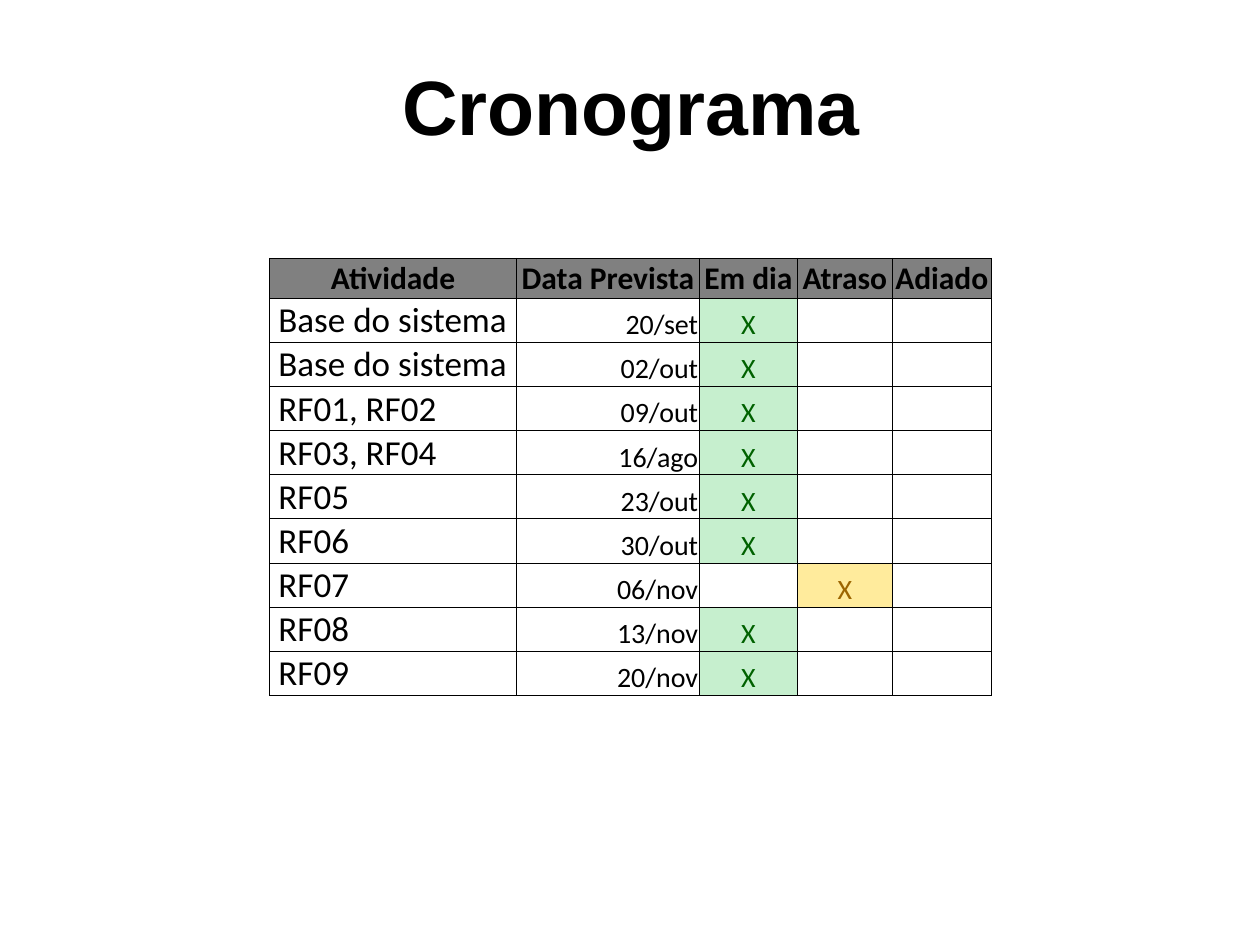
import pptx
import pptx.util
import pptx.dml.color
import pptx.enum.text
import pptx.oxml
import pptx.oxml.ns
from pptx.util import Inches, Pt
from pptx.dml.color import RGBColor
from pptx.enum.text import PP_ALIGN, MSO_ANCHOR

# Content: activity, planned date, status column that gets the mark
TITLE = "Cronograma"
HEADERS = ["Atividade", "Data Prevista", "Em dia", "Atraso", "Adiado"]
ACTIVITIES = [
    ("Base do sistema", "20/set", "Em dia"),
    ("Base do sistema", "02/out", "Em dia"),
    ("RF01, RF02", "09/out", "Em dia"),
    ("RF03, RF04", "16/ago", "Em dia"),
    ("RF05", "23/out", "Em dia"),
    ("RF06", "30/out", "Em dia"),
    ("RF07", "06/nov", "Atraso"),
    ("RF08", "13/nov", "Em dia"),
    ("RF09", "20/nov", "Em dia"),
]
COL_WIDTHS = [1.96, 1.45, 0.78, 0.75, 0.79]
HEADER_H, ROW_H = 0.31, 0.35

BLACK = RGBColor(0x00, 0x00, 0x00)
GRAY = RGBColor(0x80, 0x80, 0x80)
# Status: (text colour, fill colour)
STATUS_COLORS = {
    "Em dia": (RGBColor(0x00, 0x61, 0x00), RGBColor(0xC6, 0xEF, 0xCE)),
    "Atraso": (RGBColor(0x9C, 0x65, 0x00), RGBColor(0xFF, 0xEB, 0x9C)),
}


def add_run(p, text, font, size, color, bold=False):
    r = p.add_run()
    r.text = text
    r.font.name, r.font.size, r.font.bold = font, Pt(size), bold
    r.font.color.rgb = color


def prepare_cell(cell):
    """Thin margins, no fill and a black hairline on every side."""
    cell.margin_left = cell.margin_right = cell.margin_top = Inches(0.01)
    cell.margin_bottom = 0
    tcPr = cell._tc.get_or_add_tcPr()
    for side in ("lnL", "lnR", "lnT", "lnB"):
        tcPr.append(pptx.oxml.parse_xml(
            f'<a:{side} {pptx.oxml.ns.nsdecls("a")} w="{Pt(0.5)}"><a:solidFill>'
            f'<a:srgbClr val="{BLACK}"/></a:solidFill></a:{side}>'))
    cell.fill.background()


def write_cell(cell, text, size, align, anchor, color=BLACK, fill=None, bold=False):
    cell.vertical_anchor = anchor
    p = cell.text_frame.paragraphs[0]
    p.alignment = align
    add_run(p, text, "Calibri", size, color, bold)
    if fill is not None:
        cell.fill.solid()
        cell.fill.fore_color.rgb = fill


prs = pptx.Presentation()
prs.slide_width, prs.slide_height = Inches(10), Inches(7.5)
s = prs.slides.add_slide(prs.slide_layouts[5])

# Title
sp = s.shapes.title
sp.left, sp.top, sp.width, sp.height = map(Inches, (0.51, 0.21, 9, 1.25))
tf = sp.text_frame
tf.vertical_anchor = MSO_ANCHOR.MIDDLE
p = tf.paragraphs[0]
p.alignment = PP_ALIGN.CENTER
add_run(p, TITLE, "Arial", 44, BLACK, bold=True)

# Schedule table
heights = [HEADER_H] + [ROW_H] * len(ACTIVITIES)
table = s.shapes.add_table(
    len(heights), len(HEADERS), Inches(2.14), Inches(2.05),
    Inches(sum(COL_WIDTHS)), Inches(sum(heights))).table
table.first_row = table.horz_banding = False
for col, width in zip(table.columns, COL_WIDTHS):
    col.width = Inches(width)
for row, height in zip(table.rows, heights):
    row.height = Inches(height)
for cell in table.iter_cells():
    prepare_cell(cell)

# Header row
for c, header in enumerate(HEADERS):
    write_cell(table.cell(0, c), header, 18, PP_ALIGN.CENTER, MSO_ANCHOR.MIDDLE,
               fill=GRAY, bold=True)

# Activity rows
for i, (activity, date, status) in enumerate(ACTIVITIES, start=1):
    table.cell(i, 0).margin_left = Inches(0.07)
    write_cell(table.cell(i, 0), activity, 20, PP_ALIGN.LEFT, MSO_ANCHOR.MIDDLE)
    write_cell(table.cell(i, 1), date, 16, PP_ALIGN.RIGHT, MSO_ANCHOR.BOTTOM)
    color, fill = STATUS_COLORS[status]
    write_cell(table.cell(i, HEADERS.index(status)), "X", 16, PP_ALIGN.CENTER,
               MSO_ANCHOR.BOTTOM, color, fill)

prs.save("out.pptx")
